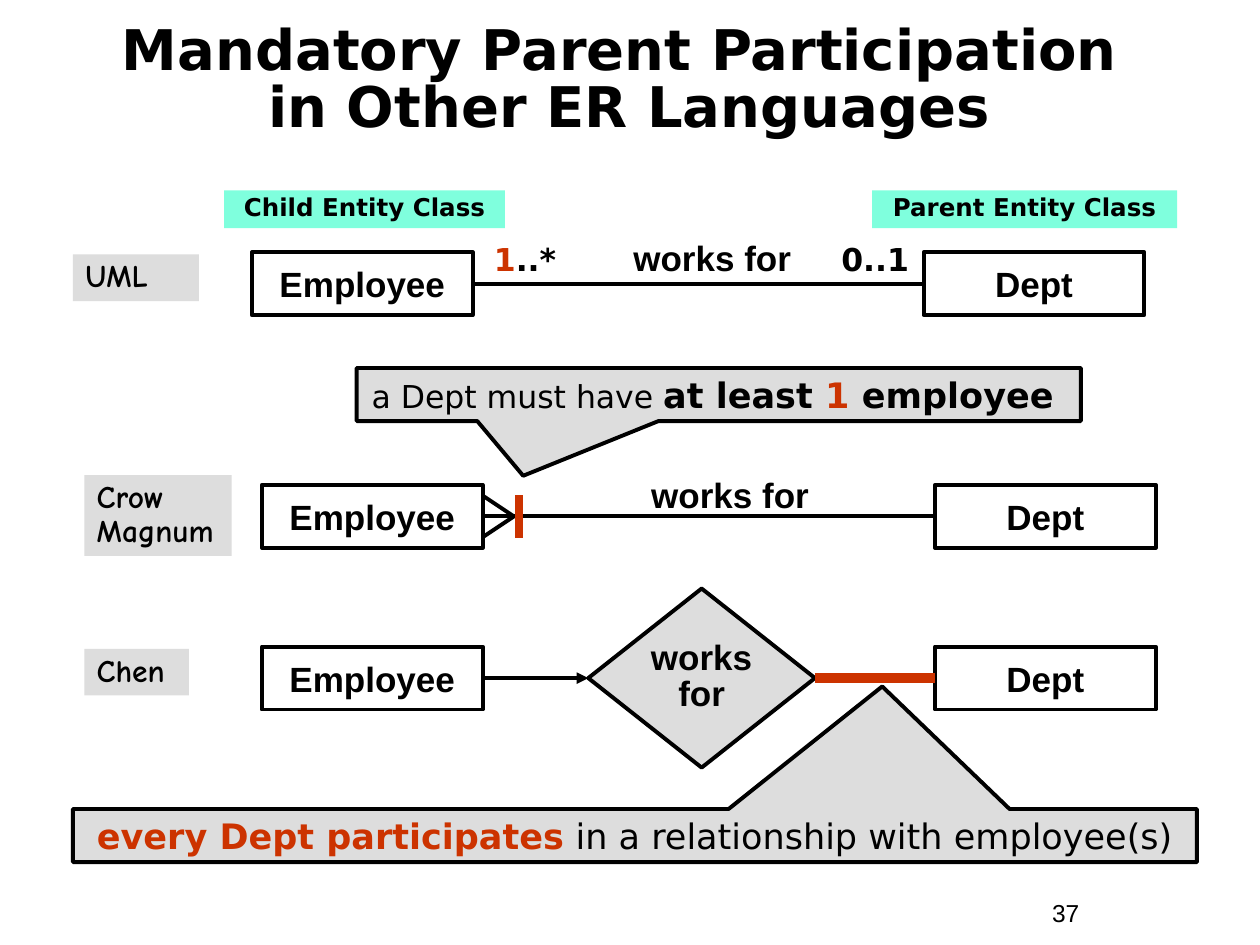
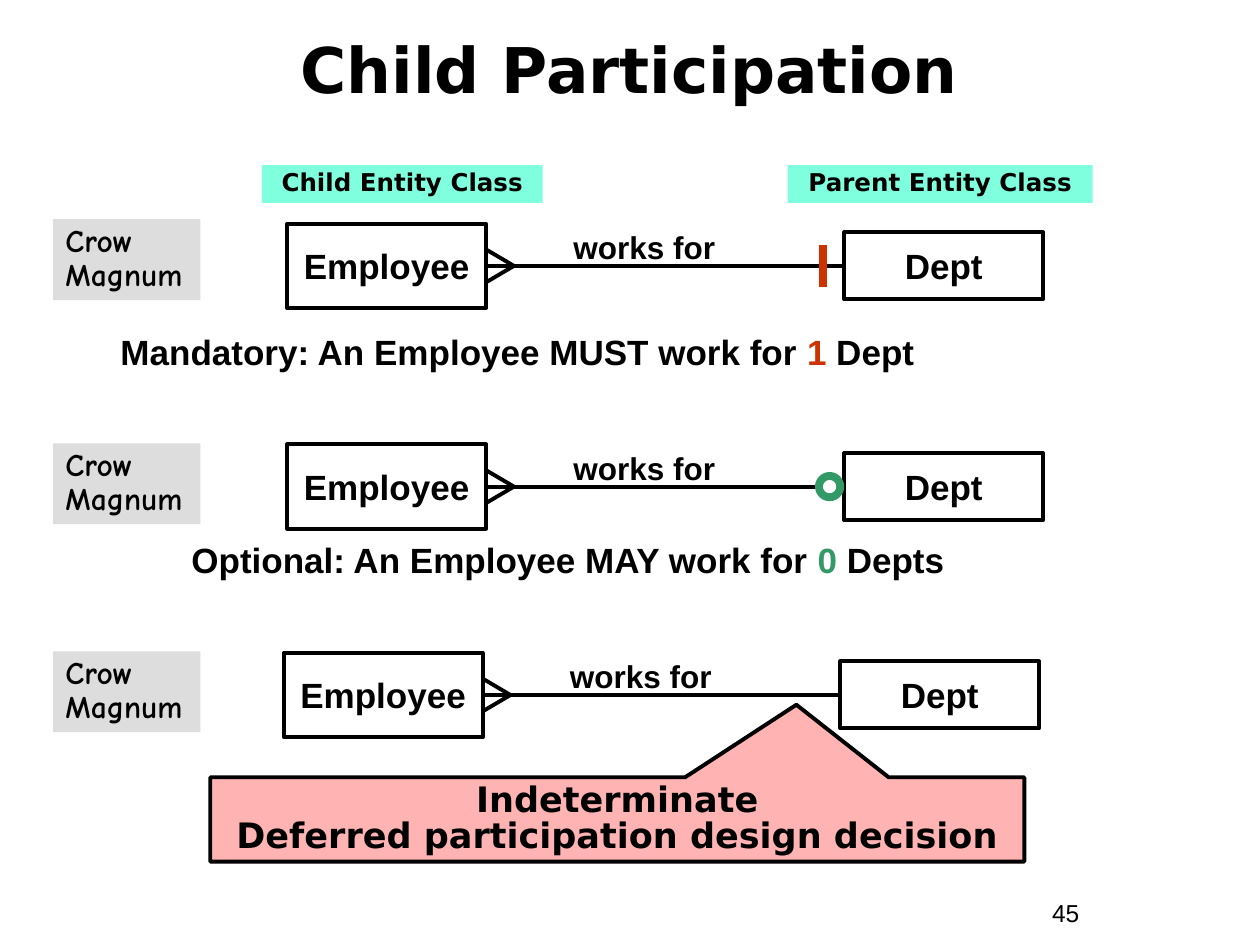
import pptx
import pptx.dml.color
import pptx.enum.dml
import pptx.enum.shapes
import pptx.enum.text
import pptx.oxml.ns
import pptx.util
from lxml import etree

Cm, Pt = pptx.util.Cm, pptx.util.Pt
SHAPE = pptx.enum.shapes.MSO_SHAPE
ALIGN = pptx.enum.text.PP_ALIGN
ANCHOR = pptx.enum.text.MSO_ANCHOR
TOP, LEFT, BOTTOM, RIGHT = range(4)


class Theme:
    black, red, green = "000000", "CC3300", "339966"
    grey, mint, pink = "DDDDDD", "7FFFDD", "FFB3B3"
    sans, wide, hand = "Arial", "DejaVu Sans", "Comic Neue"
    small, medium, large = 14, 18, 20
    outline, mark, thick = 2.25, 4.5, 6


# Content: lengths in cm; a rich text is a list of (text, format) runs
CHILD, PARENT, RELATION = "Employee", "Dept", "works for"
HEADS = [("Child Entity Class", 5.66), ("Parent Entity Class", 6.15)]
CROW = "Crow\vMagnum"

LANGUAGES = {
    "title": ("Mandatory Parent Participation \vin Other ER Languages", 0.48, 32, 0.85),
    "number": "37",
    "heads": (3.84, [4.52, 17.58]),
    "tags": [("UML", 1.47, 5.13, 2.54, 0.94),
             (CROW, 1.7, 9.58, 2.97, 1.63),
             ("Chen", 1.7, 13.08, 2.11, 0.94)],
    "size": {"width": 4.45, "child_h": 1.27, "parent_h": 1.27},
    "uml": {"mid": 5.72, "child_x": 5.08, "parent_x": 18.62},
    "crow": {"mid": 10.41, "child_x": 5.28, "parent_x": 18.85},
    "chen": {"mid": 13.67, "child_x": 5.28, "parent_x": 18.85},
    "relations": [(12.24, 4.78), (12.6, 9.55)],
    "counts": [([("1", {"color": Theme.red}), ("..*", {})], 9.53),
               ("0..1", 16.59)],
    "tick_x": 10.46,
    "diamond": ("works\vfor", 11.86, 4.57, 3.61),
    "callouts": [
        ([("a Dept must have", {"size": Theme.medium, "bold": False}),
          (" ", {"size": 16}), ("at least ", {}),
          ("1", {"color": Theme.red}), (" employee ", {})],
         (7.19, 7.42, 14.6, 1.07), (-0.27, 1.53)),
        ([("every Dept participates", {"color": Theme.red}),
          (" in a relationship with employee(s)", {"bold": False})],
         (1.47, 16.31, 22.66, 1.07), (0.22, -2.81)),
    ],
}

PARTICIPATION = {
    "title": ("Child Participation", 0.2, 36, None),
    "number": "45",
    "heads": (3.33, [5.28, 15.88]),
    "size": {"width": 4.01, "child_h": 1.7, "parent_h": 1.35},
    "rows": [{"mid": 5.36, "child_x": 5.79, "parent_x": 17.02},
             {"mid": 9.81, "child_x": 5.79, "parent_x": 17.02, "line_end": 16.59},
             {"mid": 14.01, "child_x": 5.72, "parent_x": 16.94}],
    "tag_tops": [4.42, 8.94, 13.13],
    "tick_x": 16.59,
    "ring": (16.51, 0.43),
    "rules": [
        ([("Mandatory: An Employee MUST work for ", {}),
          ("1", {"color": Theme.red}), (" Dept", {})], 2.18, 6.53, 19.25),
        ([("Optional: An Employee MAY work for ", {}),
          ("0", {"color": Theme.green}), (" Depts", {})], 3.61, 10.74, 18.62),
    ],
    "callout": ("Indeterminate\vDeferred participation design decision",
                (4.24, 15.67, 16.41, 1.7), (0.22, -1.36)),
}


# Drawing helpers
def rgb(value):
    return pptx.dml.color.RGBColor.from_string(value)


def write(sp, text, size, font=Theme.sans, bold=True, align=ALIGN.CENTER,
          spacing=None, anchor=ANCHOR.TOP, wrap=True):
    tf = sp.text_frame
    tf.word_wrap, tf.vertical_anchor = wrap, anchor
    p = tf.paragraphs[0]
    p.alignment = align
    if spacing:
        p.line_spacing = spacing
    formats = []
    if isinstance(text, str):
        p.text = text
    else:
        for part, fmt in text:
            p.add_run().text = part
            formats.append(fmt)
    for i, r in enumerate(p.runs):
        fmt = formats[i] if formats else {}
        r.font.name = font
        r.font.size = Pt(fmt.get("size", size))
        r.font.bold = fmt.get("bold", bold)
        r.font.color.rgb = rgb(fmt.get("color", Theme.black))


def add_text(s, text, x, y, w, h, size, **style):
    sp = s.shapes.add_textbox(Cm(x), Cm(y), Cm(w), Cm(h))
    write(sp, text, size, **style)


def add_shape(s, kind, x, y, w, h, fill=None, line=None, width=Theme.outline):
    sp = s.shapes.add_shape(kind, Cm(x), Cm(y), Cm(w), Cm(h))
    sp.shadow.inherit = False
    if fill:
        sp.fill.solid()
        sp.fill.fore_color.rgb = rgb(fill)
    else:
        sp.fill.background()
    if line:
        sp.line.color.rgb = rgb(line)
        sp.line.width = Pt(width)
    else:
        sp.line.fill.background()
    return sp


def add_line(s, x1, y1, x2, y2, color=Theme.black, width=Theme.outline,
             begin=None, end=None, arrow=False):
    line = s.shapes.add_connector(pptx.enum.shapes.MSO_CONNECTOR.STRAIGHT,
                                  Cm(x1), Cm(y1), Cm(x2), Cm(y2))
    line.line.color.rgb = rgb(color)
    line.line.width = Pt(width)
    if begin:
        line.begin_connect(*begin)
    if end:
        line.end_connect(*end)
    qn = pptx.oxml.ns.qn
    if arrow:
        etree.SubElement(line.line._get_or_add_ln(), qn("a:tailEnd"), type="triangle")
    etree.SubElement(line._element.spPr, qn("a:effectLst"))


def add_tag(s, text, x, y, w, h):
    sp = add_shape(s, SHAPE.RECTANGLE, x, y, w, h, Theme.grey)
    write(sp, text, Theme.medium, font=Theme.hand, align=ALIGN.LEFT, spacing=0.9)


def add_callout(s, text, box, tip, fill=Theme.grey, spacing=None):
    sp = add_shape(s, SHAPE.RECTANGULAR_CALLOUT, *box, fill, Theme.black)
    sp.adjustments[0], sp.adjustments[1] = tip
    write(sp, text, Theme.large, font=Theme.wide, anchor=ANCHOR.MIDDLE, spacing=spacing)


def add_entities(s, size, mid, child_x, parent_x, line_end=None, linked=True):
    """Draw both entity boxes centred on mid, with the line between them."""
    boxes = []
    for name, x, h in ((CHILD, child_x, size["child_h"]),
                       (PARENT, parent_x, size["parent_h"])):
        sp = add_shape(s, SHAPE.RECTANGLE, x, mid - h / 2, size["width"], h,
                       line=Theme.black)
        write(sp, name, Theme.large, anchor=ANCHOR.MIDDLE, wrap=False)
        boxes.append(sp)
    child, parent = boxes
    if linked:
        add_line(s, child_x + size["width"], mid, line_end or parent_x, mid,
                 begin=(child, RIGHT), end=None if line_end else (parent, LEFT))
    return child, parent


def add_crow_foot(s, x, mid, length, spread):
    for dy in (-spread, spread):
        add_line(s, x + length, mid, x, mid + dy)


def add_tick(s, x, mid):
    add_line(s, x, mid - 0.43, x, mid + 0.43, Theme.red, Theme.mark)


def start_slide(prs, data):
    s = prs.slides.add_slide(prs.slide_layouts[6])
    title, top, size, spacing = data["title"]
    add_text(s, title, 0.84, top, 23.7, 2.34, size, font=Theme.wide,
             spacing=spacing, anchor=ANCHOR.MIDDLE)
    add_text(s, data["number"], 20.96, 17.98, 2.34, 0.86, Theme.small,
             bold=False, align=ALIGN.LEFT)
    y, lefts = data["heads"]
    for (text, w), x in zip(HEADS, lefts):
        sp = add_shape(s, SHAPE.RECTANGLE, x, y, w, 0.76, Theme.mint)
        write(sp, text, Theme.small, font=Theme.wide, spacing=0.85)
    return s


# Slides
def build_languages(prs, data):
    s = start_slide(prs, data)
    size = data["size"]
    for tag in data["tags"]:
        add_tag(s, *tag)

    # UML
    add_entities(s, size, **data["uml"])
    for text, x in data["counts"]:
        add_text(s, text, x, 4.8, 2.11, 0.94, Theme.medium, font=Theme.wide, spacing=0.9)

    # Crow's foot
    crow = data["crow"]
    add_entities(s, size, **crow)
    add_crow_foot(s, crow["child_x"] + size["width"], crow["mid"], 0.63, 0.42)
    add_tick(s, data["tick_x"], crow["mid"])
    for x, y in data["relations"]:
        add_text(s, RELATION, x, y, 4.24, 0.99, Theme.large, spacing=0.85)

    # Chen
    mid = data["chen"]["mid"]
    child, parent = add_entities(s, size, **data["chen"], linked=False)
    text, x, w, h = data["diamond"]
    diamond = add_shape(s, SHAPE.FLOWCHART_DECISION, x, mid - h / 2, w, h,
                        Theme.grey, Theme.black)
    write(diamond, text, Theme.large, spacing=0.85, anchor=ANCHOR.MIDDLE, wrap=False)
    add_line(s, 9.73, mid, x, mid, begin=(child, RIGHT), end=(diamond, LEFT), arrow=True)
    add_line(s, x + w, mid, 18.85, mid, Theme.red, Theme.thick,
             begin=(diamond, RIGHT), end=(parent, LEFT))

    for callout in data["callouts"]:
        add_callout(s, *callout)


def build_participation(prs, data):
    s = start_slide(prs, data)
    size = data["size"]
    for row, tag_top in zip(data["rows"], data["tag_tops"]):
        add_entities(s, size, **row)
        right = row["child_x"] + size["width"]
        add_crow_foot(s, right, row["mid"], 0.56, 0.33)
        add_text(s, RELATION, right + 1.07, row["mid"] - 0.89, 4.24, 1.02, Theme.medium)
        add_tag(s, CROW, 1.07, tag_top, 2.97, 1.63)

    # Participation marks
    mandatory, optional = data["rows"][:2]
    add_tick(s, data["tick_x"], mandatory["mid"])
    x, d = data["ring"]
    add_shape(s, SHAPE.OVAL, x, optional["mid"] - d / 2, d, d,
              line=Theme.green, width=Theme.mark)

    for text, x, y, w in data["rules"]:
        add_text(s, text, x, y, w, 1.12, Theme.large, align=ALIGN.LEFT)
    add_callout(s, *data["callout"], fill=Theme.pink, spacing=0.85)


def main():
    prs = pptx.Presentation()
    prs.slide_width, prs.slide_height = Cm(25.4), Cm(19.05)
    build_languages(prs, LANGUAGES)
    build_participation(prs, PARTICIPATION)
    prs.save("out.pptx")


if __name__ == "__main__":
    main()
